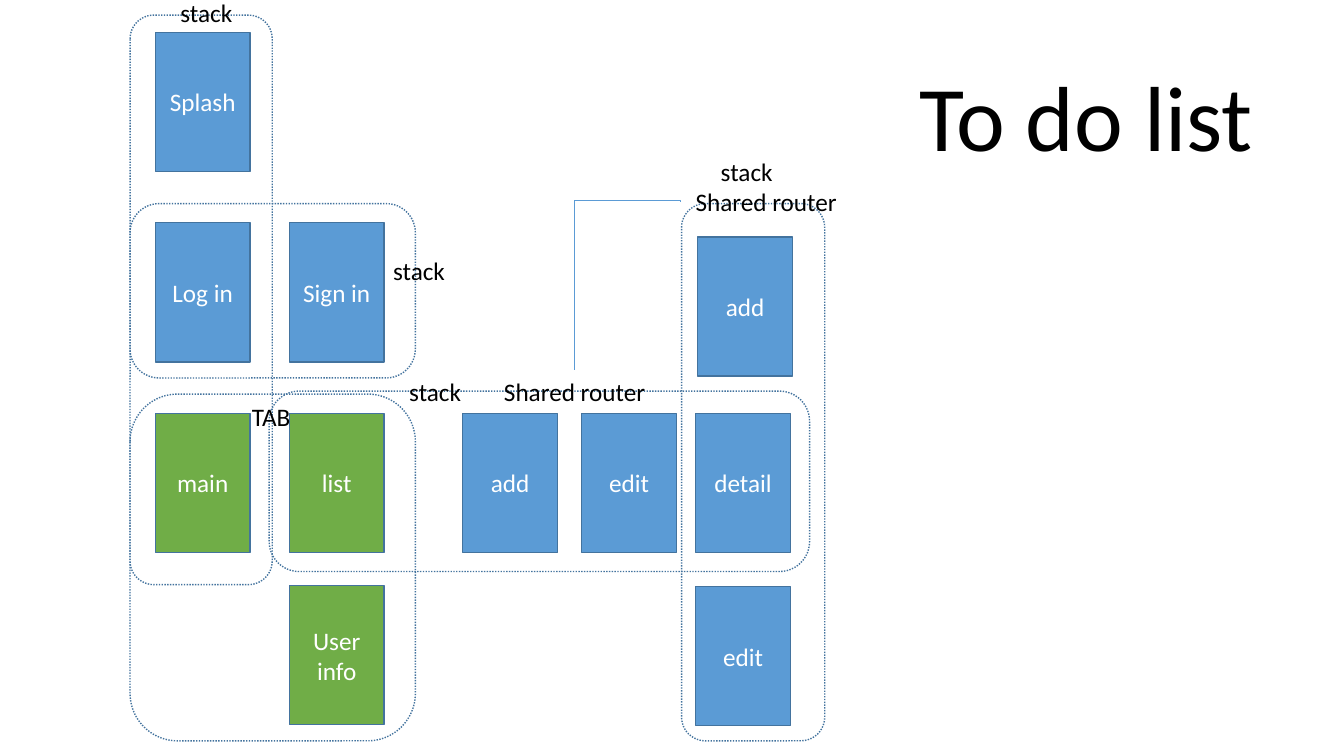
from lxml import etree
from pptx import Presentation
from pptx.dml.color import RGBColor
from pptx.enum.dml import MSO_LINE
from pptx.enum.shapes import MSO_CONNECTOR, MSO_SHAPE
from pptx.enum.text import MSO_ANCHOR, MSO_AUTO_SIZE, PP_ALIGN
from pptx.oxml.ns import qn
from pptx.util import Inches, Pt

RECT, ROUND = MSO_SHAPE.RECTANGLE, MSO_SHAPE.ROUNDED_RECTANGLE
DOTTED, ELBOW = MSO_LINE.ROUND_DOT, MSO_CONNECTOR.ELBOW
LEFT, CENTER = PP_ALIGN.LEFT, PP_ALIGN.CENTER
TOP, MIDDLE = MSO_ANCHOR.TOP, MSO_ANCHOR.MIDDLE
COLORS = {"blue": "5B9BD5", "green": "70AD47", "edge": "43739E",
          "white": "FFFFFF", "black": "000000"}


def rgb(name):
    return RGBColor.from_string(COLORS[name])


def write(sp, text, size, color, align, anchor):
    tf = sp.text_frame
    tf.text = text
    tf.word_wrap = True
    tf.auto_size = MSO_AUTO_SIZE.NONE
    tf.vertical_anchor = anchor
    p = tf.paragraphs[0]
    p.alignment = align
    font = p.runs[0].font
    font.name, font.size = "Calibri", Pt(size)
    font.color.rgb = rgb(color)


prs = Presentation()
prs.slide_width, prs.slide_height = Inches(13.33), Inches(7.5)
s = prs.slides.add_slide(prs.slide_layouts[5])

# Title
title = s.shapes.title
title.left, title.top, title.width, title.height = map(Inches, (9.02, 0.54, 3.78, 1.21))
write(title, "To do list", 66, "black", LEFT, TOP)

# Screens: text, column, row, fill
COLS = [1.54, 2.87, 4.59, 5.77, 6.9]
ROWS = [0.32 + 1.89 * i for i in range(3)] + [5.81]
SCREEN_W, SCREEN_H = 0.94, 1.38
screens = [
    ("Splash", COLS[0], ROWS[0], "blue"),
    ("Log in", COLS[0], ROWS[1], "blue"),
    ("main", COLS[0], ROWS[2], "green"),
    ("Sign in", COLS[1], ROWS[1], "blue"),
    ("list", COLS[1], ROWS[2], "green"),
    ("User info", COLS[1], ROWS[3], "green"),
    ("add", COLS[2], ROWS[2], "blue"),
    ("edit", COLS[3], ROWS[2], "blue"),
    ("detail", COLS[4], ROWS[2], "blue"),
    ("add", COLS[4] + 0.02, 2.35, "blue"),
    ("edit", COLS[4], ROWS[3] + 0.01, "blue"),
]
for text, x, y, fill in screens:
    sp = s.shapes.add_shape(RECT, *map(Inches, (x, y, SCREEN_W, SCREEN_H)))
    sp.shadow.inherit = False
    sp.fill.solid()
    sp.fill.fore_color.rgb = rgb(fill)
    sp.line.color.rgb = rgb("edge")
    sp.line.width = Pt(1)
    write(sp, text, 18, "white", CENTER, MIDDLE)

# Dotted navigator frames: left, top, width, height
frames = [
    (1.29, 3.91, 2.83, 3.44),
    (1.29, 0.15, 1.41, 5.65),
    (1.29, 2.02, 2.83, 1.73),
    (2.67, 3.88, 5.36, 1.79),
    (6.76, 2.02, 1.42, 5.33),
]
for frame in frames:
    sp = s.shapes.add_shape(ROUND, *map(Inches, frame))
    sp.shadow.inherit = False
    sp.fill.background()
    sp.line.color.rgb = rgb("edge")
    sp.line.width = Pt(1)
    sp.line.dash_style = DOTTED

# Navigator labels: text, left, top, width
labels = [
    ("TAB", 2.4, 3.93, 0.86),
    ("stack", 1.69, -0.08, 0.98),
    ("stack", 3.8, 2.48, 0.98),
    ("stack", 3.96, 3.68, 0.98),
    ("Shared router", 4.9, 3.68, 1.62),
    ("Shared router", 6.8, 1.8, 1.62),
    ("stack", 7.05, 1.5, 0.98),
]
for text, x, y, w in labels:
    sp = s.shapes.add_textbox(*map(Inches, (x, y, w, 0.4)))
    write(sp, text, 18, "black", LEFT, TOP)

# Elbow between the shared routers, turned a quarter so it starts vertically
link = s.shapes.add_connector(ELBOW, *map(Inches, (5.39, 2.31, 7.06, 3.36)))
link.line.color.rgb = rgb("blue")
link.line.width = Pt(0.5)
spPr = link._element.spPr
spPr.find(qn("a:xfrm")).set("rot", str(90 * 60000))
guides = spPr.find(qn("a:prstGeom")).find(qn("a:avLst"))
etree.SubElement(guides, qn("a:gd"), name="adj1", fmla="val -900")
etree.SubElement(spPr, qn("a:effectLst"))

prs.save("out.pptx")
